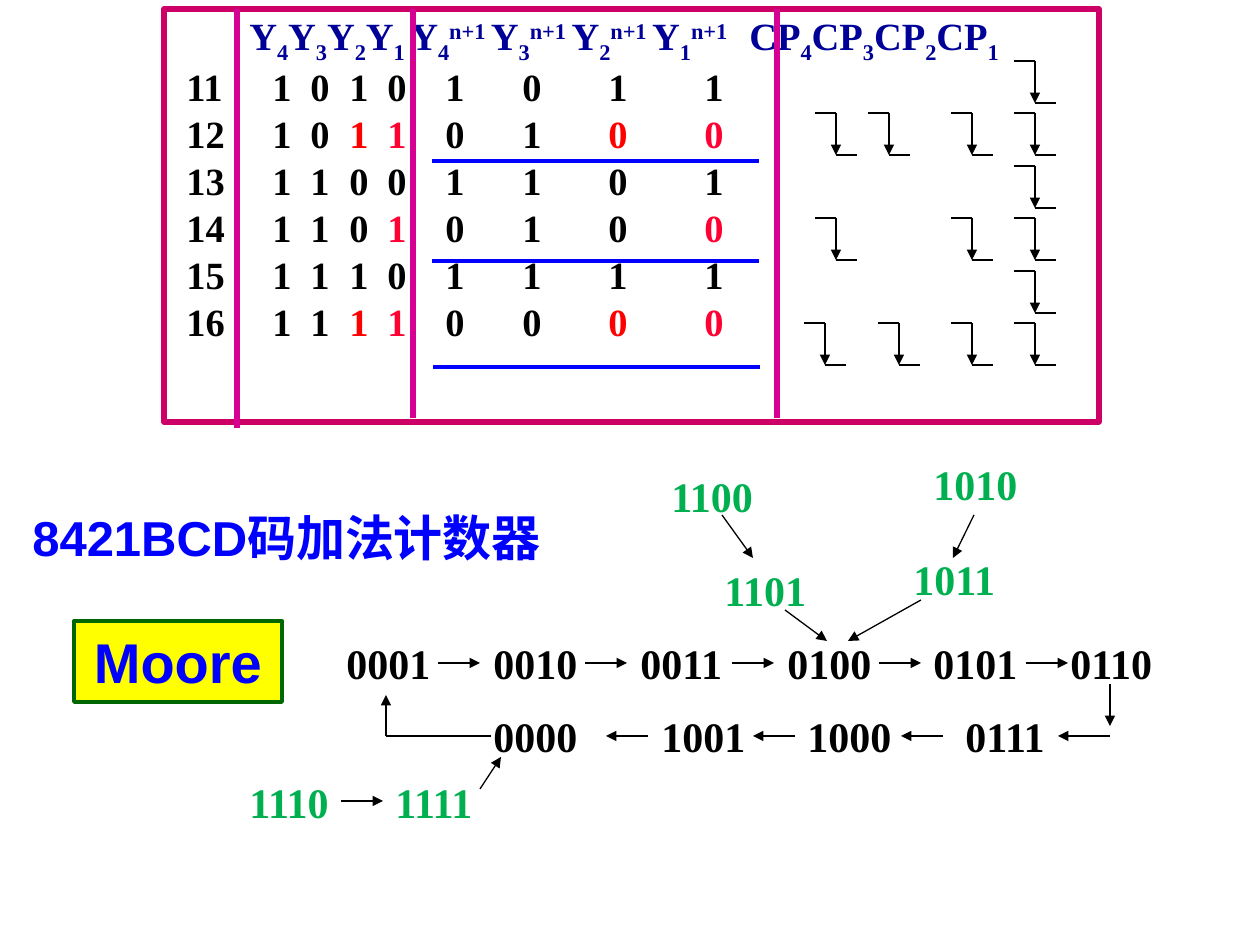
from lxml import etree
from pptx import Presentation
from pptx.dml.color import RGBColor
from pptx.enum.shapes import MSO_CONNECTOR, MSO_SHAPE
from pptx.enum.text import MSO_ANCHOR, PP_ALIGN
from pptx.oxml.ns import qn
from pptx.util import Inches, Pt

STRAIGHT = MSO_CONNECTOR.STRAIGHT
RECTANGLE = MSO_SHAPE.RECTANGLE
TOP, MIDDLE = MSO_ANCHOR.TOP, MSO_ANCHOR.MIDDLE
LEFT, CENTER = PP_ALIGN.LEFT, PP_ALIGN.CENTER
PIXEL = Inches(1) // 126
SERIF, SANS = "Times New Roman", "Arial"
COLORS = {
    "black": "000000", "white": "FFFFFF", "navy": "000099", "blue": "0000FF",
    "red": "FF0000", "crimson": "FF0033", "green": "00B050", "yellow": "FFFF00",
    "frame": "CC0066", "divider": "D60093", "dark_green": "006600",
}
ROWS = [
    "11 1 0 1 0 1 0 1 1",
    "12 1 0 *1 *1 0 1 *0 *0",
    "13 1 1 0 0 1 1 0 1",
    "14 1 1 0 *1 0 1 0 *0",
    "15 1 1 1 0 1 1 1 1",
    "16 1 1 *1 *1 0 0 *0 *0",
]
ROW_TABS = [10, 96, 134, 173, 211, 269, 346, 432, 528]
HEADER_TABS = [73, 573]
CLOCK_EDGES = [[850], [651, 704, 787, 850], [850], [651, 787, 850], [850], [640, 714, 787, 850]]


def color(name):
    """Return the named colour."""
    return RGBColor.from_string(COLORS[name])


def add_line(slide, box, start, end, name="black", width=0.75, arrow=False):
    """Draw a line between two points of a box, with an optional arrowhead."""
    left, top = box[:2]
    points = (left + start[0], top + start[1], left + end[0], top + end[1])
    line = slide.shapes.add_connector(STRAIGHT, *(value * PIXEL for value in points))
    line.line.color.rgb = color(name)
    line.line.width = Pt(width)
    if arrow:
        etree.SubElement(line.line._get_or_add_ln(), qn("a:tailEnd"), type="triangle")
    etree.SubElement(line._element.spPr, qn("a:effectLst"))


def add_panel(slide, box, fill, outline, width, anchor):
    """Add an outlined rectangle and return its text frame."""
    shape = slide.shapes.add_shape(RECTANGLE, *(value * PIXEL for value in box))
    shape.shadow.inherit = False
    shape.fill.solid()
    shape.fill.fore_color.rgb = color(fill)
    shape.line.color.rgb = color(outline)
    shape.line.width = Pt(width)
    shape.text_frame.vertical_anchor = anchor
    return shape.text_frame


def set_text(paragraph, text, font_name, size, name, alignment=LEFT):
    """Write one bold text into a paragraph."""
    paragraph.text = text
    paragraph.alignment = alignment
    style_paragraph(paragraph, font_name, size, name)


def style_paragraph(paragraph, font_name, size, name):
    """Set the bold font of a paragraph."""
    font = paragraph.font
    font.name, font.size, font.bold = font_name, Pt(size), True
    font.color.rgb = color(name)


def add_label(slide, box, text, font_name, size, name):
    """Add a wrapped text box."""
    frame = slide.shapes.add_textbox(*(value * PIXEL for value in box)).text_frame
    frame.word_wrap = True
    set_text(frame.paragraphs[0], text, font_name, size, name)


def format_row(paragraph, spacing, tabs, name):
    """Set the spacing, tab stops and font of a table line."""
    paragraph.alignment = LEFT
    paragraph.line_spacing = spacing
    paragraph.space_before = Pt(0)
    properties = paragraph._p.get_or_add_pPr()
    before = properties.find(qn("a:spcBef"))
    before.clear()
    etree.SubElement(before, qn("a:spcPct"), val="50000")
    stops = etree.SubElement(properties, qn("a:tabLst"))
    for tab in tabs:
        etree.SubElement(stops, qn("a:tab"), pos=str(tab * PIXEL), algn="l")
    style_paragraph(paragraph, SERIF, 22, name)


def add_run(paragraph, text, baseline=0):
    """Append a run, raised or lowered by a percentage."""
    run = paragraph.add_run()
    run.text = text
    if baseline:
        run._r.get_or_add_rPr().set("baseline", str(baseline * 1000))
    return run


def write_header(paragraph):
    """Write the heading of the state table."""
    format_row(paragraph, 0.85, HEADER_TABS, "navy")
    add_run(paragraph, "\t")
    for index in "4321":
        add_run(paragraph, "Y")
        add_run(paragraph, index + (" " if index == "1" else ""), -25)
    for index in "4321":
        add_run(paragraph, "Y")
        add_run(paragraph, index, -25)
        add_run(paragraph, "n+1" + ("\t" if index == "1" else " "), 30)
    for index in "4321":
        add_run(paragraph, "CP")
        add_run(paragraph, index, -25)


def write_row(paragraph, row):
    """Write one state row, colouring the starred digits."""
    format_row(paragraph, 0.6, ROW_TABS, "black")
    for column, cell in enumerate(row.split()):
        run = add_run(paragraph, "\t" + cell.lstrip("*"))
        if cell.startswith("*"):
            run.font.color.rgb = color("red" if column in (3, 7) else "crimson")


def add_falling_edge(slide, box, x, y):
    """Draw one falling clock edge."""
    add_line(slide, box, (x, y), (x + 21, y))
    add_line(slide, box, (x + 21, y), (x + 21, y + 42), arrow=True)
    add_line(slide, box, (x + 21, y + 42), (x + 42, y + 42))


def add_state_table(slide, box):
    """Build the state table with its dividers and clock edges."""
    frame = add_panel(slide, box, "white", "frame", 3, TOP)
    write_header(frame.paragraphs[0])
    for row in ROWS:
        write_row(frame.add_paragraph(), row)
    for x, bottom in ((249, 409), (613, 409), (73, 419)):
        add_line(slide, box, (x, 0), (x, bottom), "divider", 3)
    for index, edges in enumerate(CLOCK_EDGES):
        for x in edges:
            add_falling_edge(slide, box, x, 52 + 105 * index // 2)
    for x, y in ((268, 152), (268, 252), (269, 358)):
        add_line(slide, box, (x, y), (x + 327, y), "blue", 2.25)


def add_state_diagram(slide, box):
    """Build the state diagram of the counter."""
    main_states = [
        ("0001", 97, 179), ("0010", 244, 179), ("0011", 391, 179), ("0100", 538, 179),
        ("0101", 684, 179), ("0110", 821, 179), ("0000", 244, 252), ("1001", 412, 252),
        ("1000", 558, 252), ("0111", 716, 252),
    ]
    unused_states = [
        ("1010", 684, 0), ("1011", 664, 95), ("1100", 422, 12), ("1101", 475, 106),
        ("1110", 0, 318), ("1111", 146, 318),
    ]
    for states, name in ((main_states, "black"), (unused_states, "green")):
        for text, x, y in states:
            add_label(slide, (box[0] + x, box[1] + y, 116, 63), text, SERIF, 24, name)
    arrows = [((201 + 147 * i, 211), (243 + 147 * i, 211)) for i in range(5)]
    arrows += [((x, 284), (x - 42, 284)) for x in (411, 558, 706)]
    arrows += [
        ((873, 232), (873, 274)), ((873, 284), (821, 284)), ((149, 284), (149, 243)),
        ((104, 349), (146, 349)), ((243, 337), (264, 305)), ((485, 63), (516, 106)),
        ((548, 158), (590, 189)), ((737, 63), (716, 106)), ((684, 148), (611, 189)),
    ]
    for start, end in arrows:
        add_line(slide, box, start, end, arrow=True)
    add_line(slide, box, (254, 284), (149, 284))


def add_machine_type(slide, box):
    """Add the machine type badge."""
    frame = add_panel(slide, box, "yellow", "dark_green", 2.25, MIDDLE)
    set_text(frame.paragraphs[0], "Moore", SANS, 32, "blue", CENTER)


def main():
    """Build and save the slide."""
    presentation = Presentation()
    presentation.slide_width, presentation.slide_height = Inches(10), Inches(7.5)
    slide = presentation.slides.add_slide(presentation.slide_layouts[6])
    add_state_table(slide, (164, 9, 935, 413))
    add_state_diagram(slide, (237, 452, 937, 381))
    add_label(slide, (20, 501, 679, 72), "8421BCD码加法计数器", SANS, 28, "blue")
    add_machine_type(slide, (74, 621, 208, 81))
    presentation.save("out.pptx")


main()
